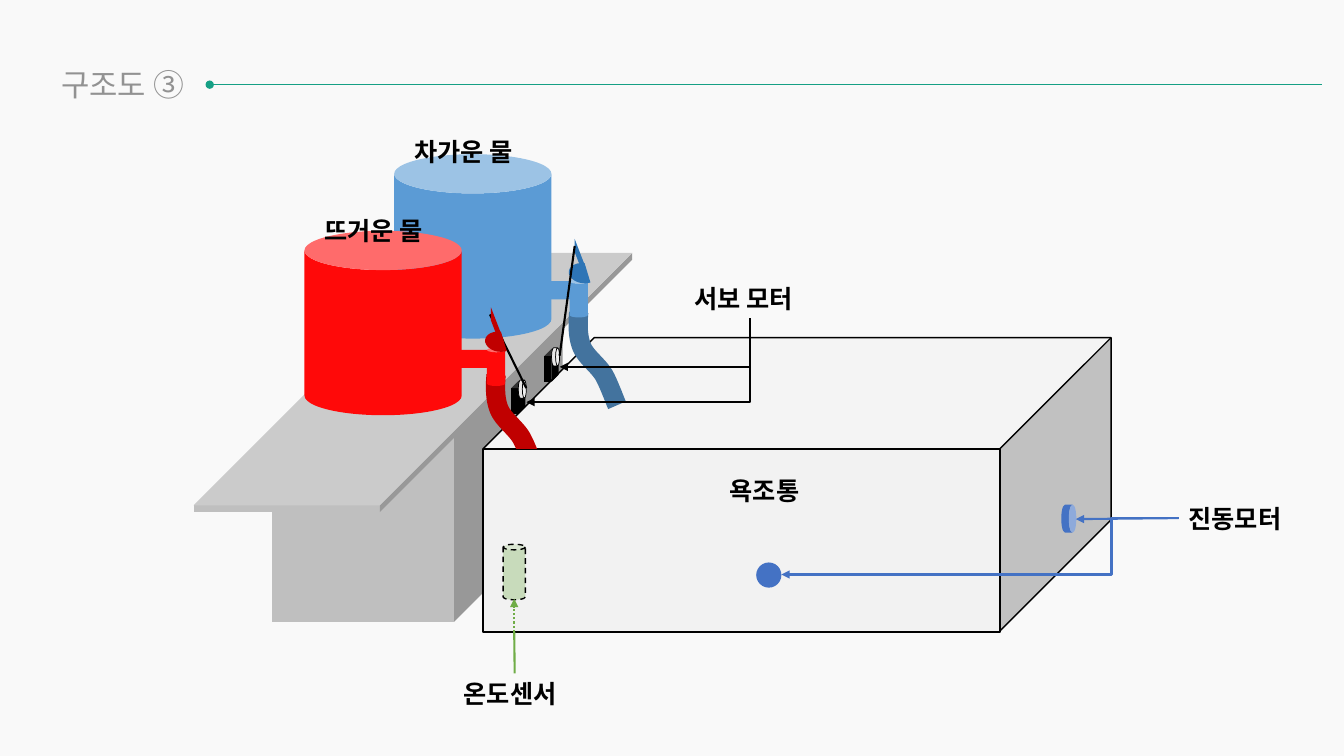
"""Build the bathtub structure diagram slide."""
import dataclasses

import pptx
import pptx.dml.color
import pptx.enum.dml
import pptx.enum.shapes
import pptx.enum.text
import pptx.oxml
import pptx.oxml.ns
import pptx.util
from lxml import etree

Inches = pptx.util.Inches
Pt = pptx.util.Pt
SHAPE = pptx.enum.shapes.MSO_SHAPE
CONNECTOR = pptx.enum.shapes.MSO_CONNECTOR
DASH = pptx.enum.dml.MSO_LINE
qn = pptx.oxml.ns.qn


@dataclasses.dataclass(frozen=True)
class Theme:
    """Hold the colours, font and type sizes of the slide."""
    font: str = "Noto Sans CJK KR"
    title_size: int = 22
    label_size: int = 18
    background: str = "F9F9F9"
    title: str = "929292"
    rule: str = "16A085"
    black: str = "000000"
    stand: str = "BFBFBF"
    tub: str = "F2F2F2"
    disc: str = "E7E6E6"
    cold: str = "5B9BD5"
    cold_hose: str = "43739E"
    cold_valve: str = "2E75B6"
    hot: str = "FF0909"
    hot_dark: str = "C00000"
    motor: str = "4472C4"
    sensor: str = "70AD47"


THEME = Theme()
HOSE = [(0, 0), (-0.01, 0.12), (-0.01, 0.24), (0.03, 0.34),
        (0.07, 0.44), (0.19, 0.52), (0.25, 0.62),
        (0.3, 0.71), (0.35, 0.85), (0.38, 0.92)]


def rgb(value):
    """Turn a hex string into a colour."""
    return pptx.dml.color.RGBColor.from_string(value)


def set_line(line, color, width, dash=None):
    """Give a line its colour, width and dash."""
    line.fill.solid()
    line.fill.fore_color.rgb = rgb(color)
    for name, value in {"width": Pt(width), "dash_style": dash}.items():
        setattr(line, name, value)


def add_solid(shapes, kind, box, fill, rot=0, adj=None, width=0, dash=None, alpha=None):
    """Add a filled preset shape, outlined in black if a width is given."""
    sp = shapes.add_shape(kind, *map(Inches, box))
    sp.shadow.inherit = False
    sp.rotation = rot
    if adj is not None:
        sp.adjustments[0] = adj
    sp.fill.solid()
    sp.fill.fore_color.rgb = rgb(fill)
    if alpha is not None:
        clr = sp._element.spPr.find(qn("a:solidFill")).find(qn("a:srgbClr"))
        etree.SubElement(clr, qn("a:alpha")).set("val", str(alpha * 1000))
    if width:
        set_line(sp.line, THEME.black, width, dash)
    else:
        sp.line.fill.background()
    return sp


def add_text(shapes, box, text, size=THEME.label_size, color=THEME.black, bold=True, wrap=False):
    """Add a one-line text box."""
    sp = shapes.add_textbox(*map(Inches, box))
    tf = sp.text_frame
    tf.word_wrap = wrap
    tf.auto_size = pptx.enum.text.MSO_AUTO_SIZE.SHAPE_TO_FIT_TEXT
    r = tf.paragraphs[0].add_run()
    r.text = text
    for name, value in {"name": THEME.font, "size": Pt(size), "bold": bold}.items():
        setattr(r.font, name, value)
    r.font.color.rgb = rgb(color)
    etree.SubElement(r._r.get_or_add_rPr(), qn("a:ea")).set("typeface", THEME.font)
    return sp


def add_line(shapes, start, end, color, width=1.5, kind=CONNECTOR.STRAIGHT,
             head=None, tail=None, dash=None):
    """Add a connector with optional line ends."""
    c = shapes.add_connector(kind, *map(Inches, (*start, *end)))
    set_line(c.line, color, width, dash)
    spPr = c._element.spPr
    for tag, value in (("a:headEnd", head), ("a:tailEnd", tail)):
        if value:
            etree.SubElement(spPr.find(qn("a:ln")), qn(tag)).set("type", value)
    etree.SubElement(spPr, qn("a:effectLst"))
    return c


def add_corner_arrow(shapes, start, end):
    """Add an arrow that runs down and then left."""
    (x1, y1), (x2, y2) = start, end
    mid_x, mid_y = (x1 + x2) / 2, (y1 + y2) / 2
    half_w, half_h = (y2 - y1) / 2, (x1 - x2) / 2
    c = add_line(shapes, (mid_x - half_w, mid_y - half_h), (mid_x + half_w, mid_y + half_h),
                 THEME.black, kind=CONNECTOR.ELBOW, tail="triangle")
    spPr = c._element.spPr
    spPr.find(qn("a:xfrm")).set("rot", "5400000")
    spPr.find(qn("a:prstGeom")).set("prst", "bentConnector2")


def add_hose(shapes, x, y, color, steps=12):
    """Add a thick curved hose that starts at the given point."""
    points = []
    for i in range(0, len(HOSE) - 1, 3):
        for k in range(steps + 1):
            t = k / steps
            weights = ((1 - t) ** 3, 3 * t * (1 - t) ** 2, 3 * t * t * (1 - t), t ** 3)
            dx, dy = (sum(w * q[axis] for w, q in zip(weights, HOSE[i:i + 4])) for axis in (0, 1))
            points.append((Inches(x + dx), Inches(y + dy)))
    builder = shapes.build_freeform(*points[0], scale=1.0)
    builder.add_line_segments(points[1:], close=False)
    sp = builder.convert_to_shape()
    sp.shadow.inherit = False
    sp.fill.background()
    set_line(sp.line, color, 13.75)


def add_valve(shapes, x, y, color):
    """Add a valve cap with its pointed lever."""
    add_solid(shapes, SHAPE.CHORD, (x, y, 0.29, 0.2), color, rot=7.5)
    add_solid(shapes, SHAPE.DIAGONAL_STRIPE, (x - 0.02, y - 0.16, 0.26, 0.1), color, rot=270)


def add_stand_and_tanks(shapes):
    """Add the stand, the tub body and both water tanks."""
    for x in (2.7, 2.74):
        add_solid(shapes, SHAPE.CUBE, (x, 3.26, 2.84, 2.91), THEME.stand, adj=0.379)
    add_solid(shapes, SHAPE.CUBE, (1.92, 2.51, 4.35, 2.57), THEME.stand, adj=0.974)
    add_solid(shapes, SHAPE.CUBE, (4.79, 3.35, 6.23, 2.91), THEME.tub, adj=0.379, width=1)
    for x, y, color in ((3.91, 1.53, THEME.cold), (3.02, 2.29, THEME.hot)):
        add_solid(shapes, SHAPE.CAN, (x, y, 1.56, 1.83), color)
    add_solid(shapes, SHAPE.CAN, (5.46, 2.69, 0.18, 0.38), THEME.cold, rot=90)
    add_hose(shapes, 5.74, 3.1, THEME.cold_hose)


def add_motors(shapes):
    """Add the vibration motors, servo motors and tub front."""
    add_solid(shapes, SHAPE.CAN, (10.46, 5.07, 0.28, 0.15), THEME.motor, rot=90, adj=0.5)
    label = add_text(shapes, (11.69, 4.94, 1.21, 0.4), "진동모터")
    c = add_line(shapes, (10.67, 5.15), (11.69, 5.14), THEME.motor, head="triangle")
    c.end_connect(label, 1)
    servos = ((5.4, 3.46), (5.07, 3.78))
    for x, y in servos:
        add_solid(shapes, SHAPE.CUBE, (x, y, 0.14, 0.33), THEME.black, adj=0.514)
    add_hose(shapes, 4.92, 3.72, THEME.hot_dark)
    add_text(shapes, (4.01, 1.3, 1.3, 0.4), "차가운 물")
    add_text(shapes, (3.12, 2.09, 1.3, 0.4), "뜨거운 물")
    for x, y in servos:
        add_solid(shapes, SHAPE.CAN, (x + 0.02, y + 0.04, 0.18, 0.08), THEME.disc,
                  rot=90, adj=0.5, width=0.5)
    add_solid(shapes, SHAPE.RECTANGLE, (4.79, 4.46, 5.13, 1.81), THEME.tub, width=1)
    add_solid(shapes, SHAPE.OVAL, (7.5, 5.58, 0.25, 0.25), THEME.motor)
    c = add_line(shapes, (7.75, 5.7), (11.69, 5.14), THEME.motor,
                 kind=CONNECTOR.ELBOW, head="triangle")
    guides = c._element.spPr.find(qn("a:prstGeom")).get_or_add_avLst()
    gd = etree.SubElement(guides, qn("a:gd"))
    for name, value in {"name": "adj1", "fmla": "val 83100"}.items():
        gd.set(name, value)
    add_text(shapes, (7.14, 4.67, 0.96, 0.4), "욕조통")
    add_text(shapes, (6.79, 2.76, 1.3, 0.4), "서보 모터")
    for tip in ((5.55, 3.64), (5.22, 3.99)):
        add_corner_arrow(shapes, (7.44, 3.16), tip)


def add_taps_and_sensor(shapes):
    """Add both taps with their pull wires and the temperature sensor."""
    add_line(shapes, (4.86, 3.12), (5.22, 3.85), THEME.black)
    hot_tap = shapes.add_group_shape().shapes
    add_solid(hot_tap, SHAPE.CAN, (4.64, 3.37, 0.18, 0.38), THEME.hot, rot=90)
    add_solid(hot_tap, SHAPE.CAN, (4.83, 3.45, 0.18, 0.38), THEME.hot)
    add_valve(hot_tap, 4.81, 3.29, THEME.hot_dark)
    add_solid(shapes, SHAPE.CAN, (5.65, 2.77, 0.18, 0.38), THEME.cold)
    add_valve(shapes.add_group_shape().shapes, 5.64, 2.61, THEME.cold_valve)
    add_line(shapes, (5.7, 2.44), (5.55, 3.53), THEME.black)
    add_solid(shapes, SHAPE.CAN, (4.99, 5.4, 0.22, 0.55), THEME.sensor,
              width=1, dash=DASH.DASH, alpha=32)
    label = add_text(shapes, (4.5, 6.68, 1.21, 0.4), "온도센서")
    add_line(shapes, (5.1, 6.27), (5.1, 5.94), THEME.sensor, tail="triangle", dash=DASH.ROUND_DOT)
    add_line(shapes, (5.1, 6.68), (5.1, 6.27), THEME.sensor).begin_connect(label, 0)


def main():
    """Build and save the slide."""
    prs = pptx.Presentation()
    prs.slide_width, prs.slide_height = Inches(13.33), Inches(7.5)
    s = prs.slides.add_slide(prs.slide_layouts[6])
    s.background.fill.solid()
    s.background.fill.fore_color.rgb = rgb(THEME.background)
    add_text(s.shapes, (0.51, 0.6, 3.95, 0.47), "구조도 ③", THEME.title_size,
             THEME.title, bold=False, wrap=True)
    add_line(s.shapes, (2.08, 0.84), (13.11, 0.84), THEME.rule, 0.5, head="oval")
    add_stand_and_tanks(s.shapes)
    add_motors(s.shapes)
    add_taps_and_sensor(s.shapes)
    prs.save("out.pptx")


if __name__ == "__main__":
    main()
